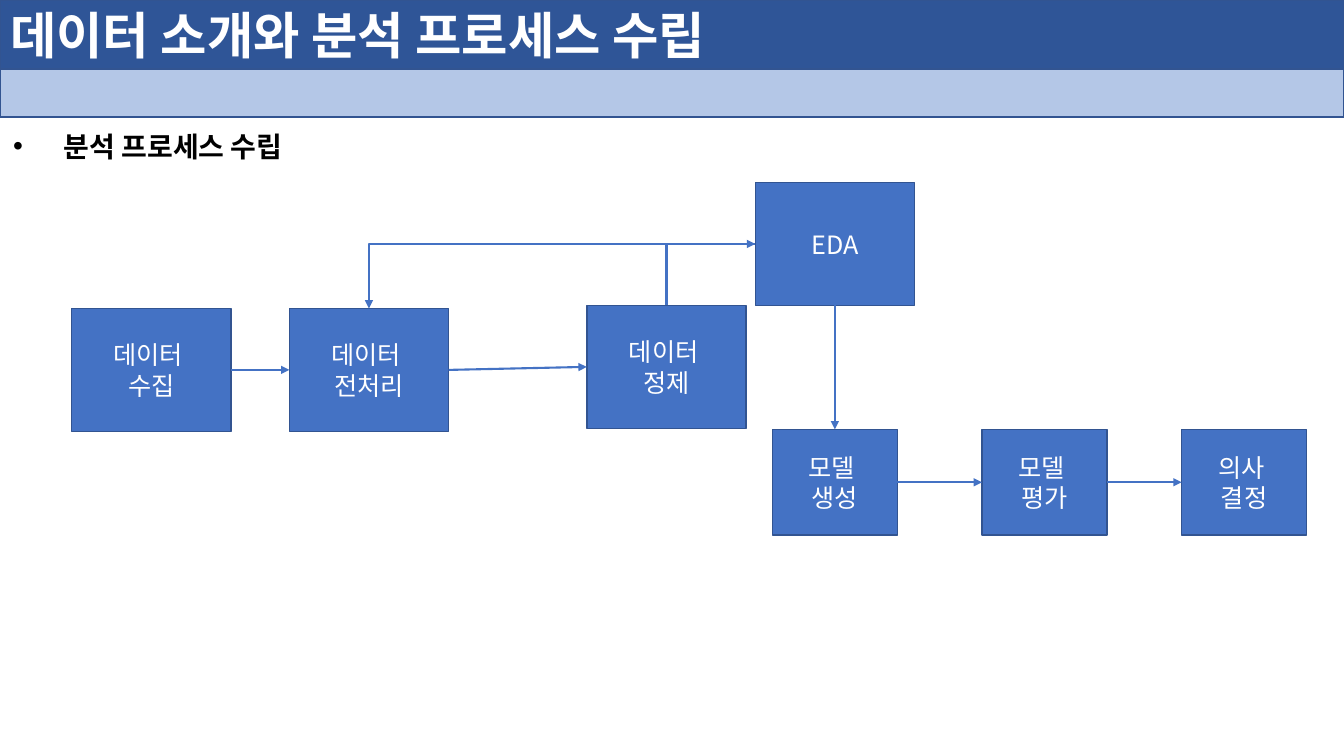
from lxml import etree
from pptx import Presentation
from pptx.dml.color import RGBColor
from pptx.enum.shapes import MSO_CONNECTOR, MSO_SHAPE
from pptx.enum.text import MSO_ANCHOR, MSO_AUTO_SIZE, PP_ALIGN
from pptx.oxml.ns import qn
from pptx.util import Inches, Pt

RECT = MSO_SHAPE.RECTANGLE
STRAIGHT, ELBOW = MSO_CONNECTOR.STRAIGHT, MSO_CONNECTOR.ELBOW
LEFT, CENTER = PP_ALIGN.LEFT, PP_ALIGN.CENTER
TOP, MIDDLE = MSO_ANCHOR.TOP, MSO_ANCHOR.MIDDLE
NO_FIT = MSO_AUTO_SIZE.NONE
FONT = "Noto Sans CJK KR"
NAVY, PALE, BLUE, EDGE = "2F5597", "B4C7E7", "4472C4", "325491"
SIDE_TOP, SIDE_LEFT, SIDE_BOTTOM, SIDE_RIGHT = range(4)


def rgb(value):
    return RGBColor.from_string(value)


def place(shape, x, y, w, h):
    shape.left, shape.top = Inches(x), Inches(y)
    shape.width, shape.height = Inches(w), Inches(h)


def paint(shape, fill):
    shape.fill.solid()
    shape.fill.fore_color.rgb = rgb(fill)
    shape.line.color.rgb = rgb(EDGE)
    shape.line.width = Pt(1)


def add_rect(s, x, y, w, h, fill):
    shape = s.shapes.add_shape(RECT, Inches(x), Inches(y), Inches(w), Inches(h))
    shape.shadow.inherit = False
    paint(shape, fill)
    return shape


def write(shape, lines, size, color="FFFFFF", bold=False, align=CENTER,
          anchor=MIDDLE, wrap=True):
    tf = shape.text_frame
    tf.word_wrap, tf.auto_size, tf.vertical_anchor = wrap, NO_FIT, anchor
    for i, line in enumerate(lines):
        p = tf.add_paragraph() if i else tf.paragraphs[0]
        p.alignment, p.space_before = align, Pt(0)
        r = p.add_run()
        r.text = line
        r.font.size, r.font.bold, r.font.name = Pt(size), bold, FONT
        r.font.color.rgb = rgb(color)
        etree.SubElement(r.font._element, qn("a:ea"), typeface=FONT)


def header(s, title, x, y, w, h):
    bar = s.shapes.title
    place(bar, x, y, w, 0.68)
    paint(bar, NAVY)
    write(bar, [title], 36, bold=True, align=LEFT)
    add_rect(s, x, y + 0.69, w, h - 0.69, PALE)


def bullet_heading(s, text, x, y, w, h):
    body = s.placeholders[1]
    place(body, x, y, w, h)
    write(body, [text], 20, "000000", bold=True, align=LEFT, anchor=TOP,
          wrap=False)
    pPr = body.text_frame.paragraphs[0]._p.get_or_add_pPr()
    pPr.set("marL", str(Inches(0.5)))
    pPr.set("indent", str(-Inches(0.5)))
    etree.SubElement(pPr, qn("a:buFont"), typeface="Arial")
    etree.SubElement(pPr, qn("a:buChar"), char="•")


def arrow(s, start, start_side, end, end_side, kind=STRAIGHT):
    c = s.shapes.add_connector(kind, 0, 0, 0, 0)
    c.begin_connect(start, start_side)
    c.end_connect(end, end_side)
    c.line.color.rgb = rgb(BLUE)
    c.line.width = Pt(1.5)
    etree.SubElement(c.line._ln, qn("a:tailEnd"), type="triangle")
    etree.SubElement(c._element.spPr, qn("a:effectLst"))
    return c


def bend(c, vertical_start):
    spPr = c._element.spPr
    spPr.find(qn("a:prstGeom")).set("prst", "bentConnector2")
    if vertical_start:
        w, h = c.width, c.height
        c.left, c.top = c.left + (w - h) // 2, c.top + (h - w) // 2
        c.width, c.height = h, w
        for key, value in (("rot", "5400000"), ("flipH", "1"), ("flipV", "1")):
            spPr.xfrm.set(key, value)


def process_flow(s, x, y):
    big, small = (1.58, 1.22), (1.24, 1.05)
    steps = {
        "collect": (["데이터 ", "수집"], 0, 1.25, big),
        "prepare": (["데이터 ", "전처리"], 2.16, 1.25, big),
        "clean": (["데이터 ", "정제"], 5.11, 1.22, big),
        "eda": (["EDA"], 6.78, 0, big),
        "build": (["모델 ", "생성"], 6.95, 2.45, small),
        "evaluate": (["모델 ", "평가"], 9.03, 2.45, small),
        "decide": (["의사 ", "결정"], 11.01, 2.45, small),
    }
    box = {}
    for name, (lines, dx, dy, size) in steps.items():
        box[name] = add_rect(s, x + dx, y + dy, *size, BLUE)
        write(box[name], lines, 18)
    for a, b in (("collect", "prepare"), ("prepare", "clean"),
                 ("build", "evaluate"), ("evaluate", "decide")):
        arrow(s, box[a], SIDE_RIGHT, box[b], SIDE_LEFT)
    arrow(s, box["eda"], SIDE_BOTTOM, box["build"], SIDE_TOP)
    bend(arrow(s, box["clean"], SIDE_TOP, box["eda"], SIDE_LEFT, ELBOW), True)
    bend(arrow(s, box["eda"], SIDE_LEFT, box["prepare"], SIDE_TOP, ELBOW), False)


prs = Presentation()
prs.slide_width, prs.slide_height = Inches(13.33), Inches(7.5)
s = prs.slides.add_slide(prs.slide_layouts[1])
header(s, "데이터 소개와 분석 프로세스 수립", 0, 0, 13.33, 1.16)
bullet_heading(s, "분석 프로세스 수립", 0.03, 1.23, 3.15, 0.44)
process_flow(s, 0.71, 1.81)
prs.save("out.pptx")
